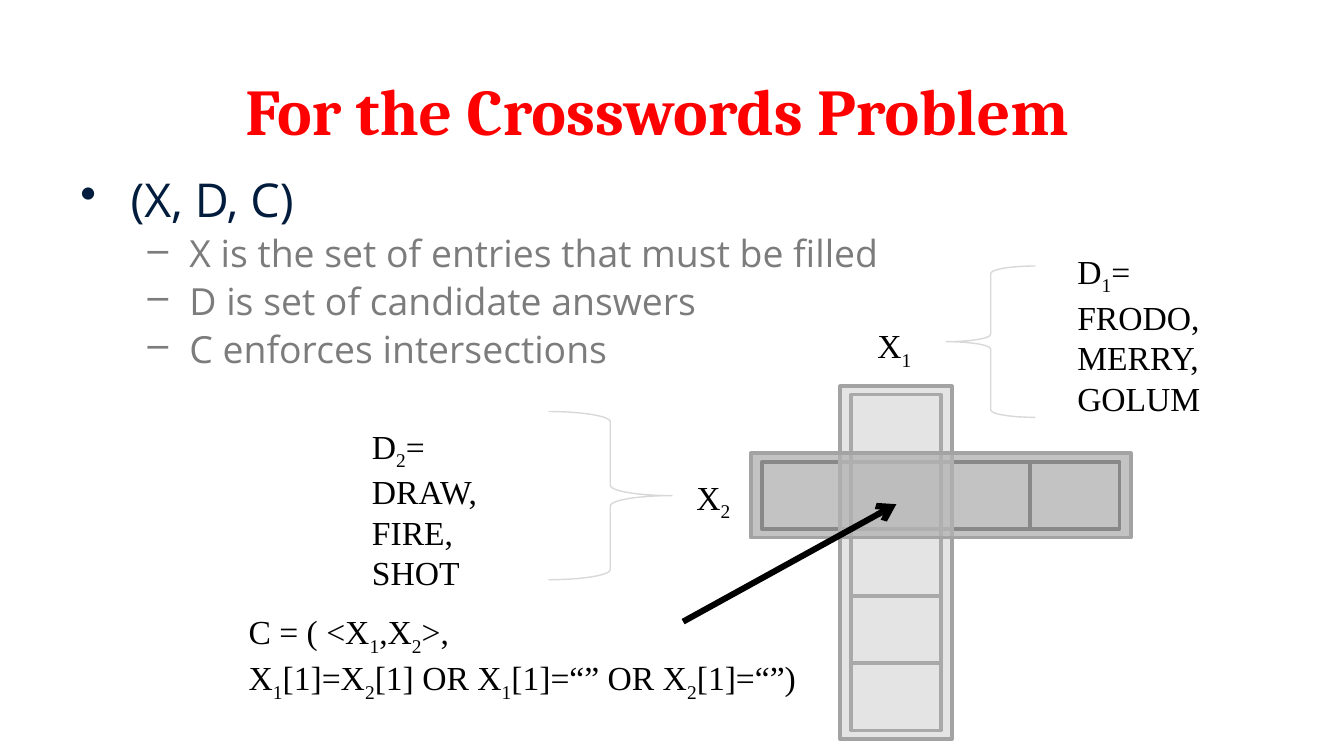
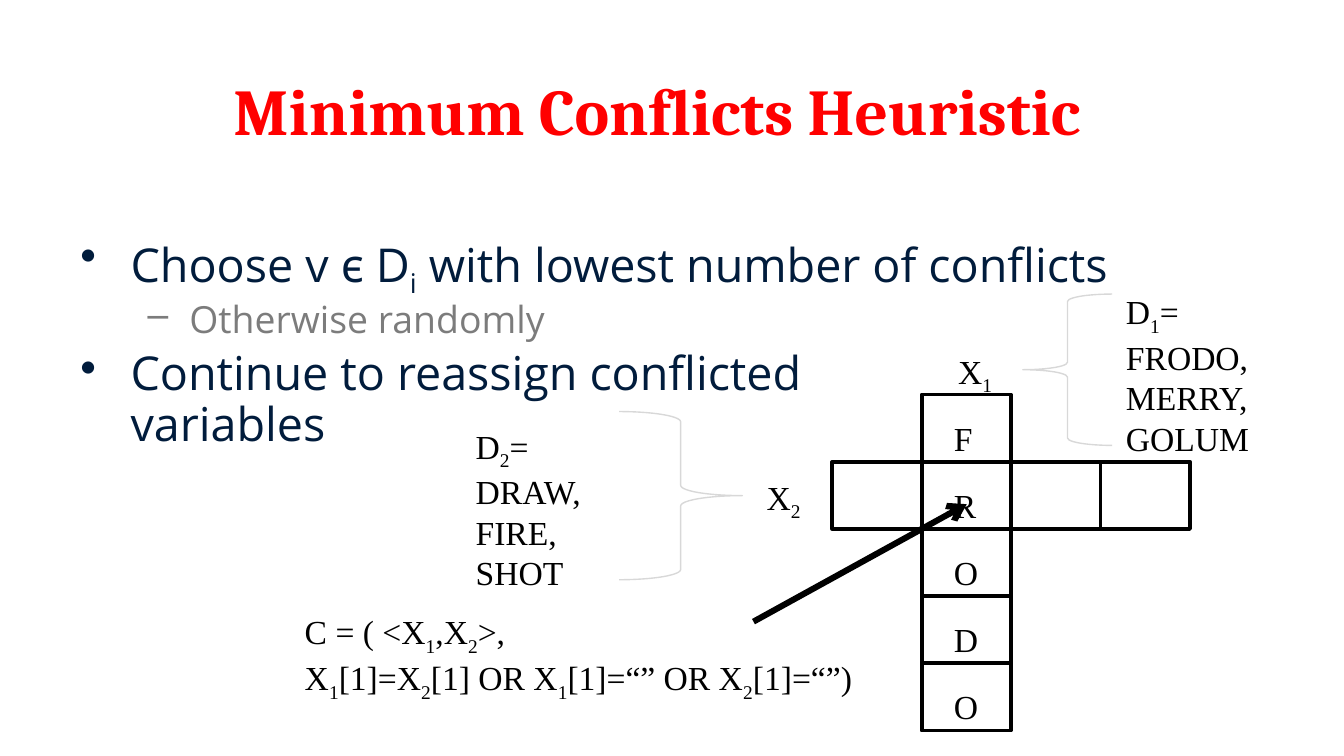
from lxml import etree
from pptx import Presentation
from pptx.dml.color import RGBColor
from pptx.enum.shapes import MSO_CONNECTOR, MSO_SHAPE
from pptx.enum.text import MSO_ANCHOR, MSO_AUTO_SIZE, PP_ALIGN
from pptx.oxml.ns import qn
from pptx.util import Cm, Pt

RECT = MSO_SHAPE.RECTANGLE
LEFT_BRACE = MSO_SHAPE.LEFT_BRACE
RIGHT_BRACE = MSO_SHAPE.RIGHT_BRACE
STRAIGHT = MSO_CONNECTOR.STRAIGHT
MIDDLE = MSO_ANCHOR.MIDDLE
GROW = MSO_AUTO_SIZE.SHAPE_TO_FIT_TEXT
CENTER = PP_ALIGN.CENTER

RED = RGBColor(0xFF, 0x00, 0x00)
NAVY = RGBColor(0x01, 0x1C, 0x3C)
GREY = RGBColor(0x7C, 0x7C, 0x7C)
BLACK = RGBColor(0x00, 0x00, 0x00)
WHITE = RGBColor(0xFF, 0xFF, 0xFF)
BRACE_GREY = RGBColor(0xD8, 0xD8, 0xD8)
BORDER_GREY = RGBColor(0xA3, 0xA3, 0xA3)
COLUMN_GREY = RGBColor(0xDD, 0xDD, 0xDD)
ROW_GREY = RGBColor(0xB2, 0xB2, 0xB2)

TITLE_FONT, BODY_FONT, LABEL_FONT = "Cambria", "Open Sans", "Times New Roman"

# Per outline level: bullet, size, colour, left margin and hanging indent in cm
LEVELS = [("•", 25, NAVY, 0.95, 0.95), ("–", 20, GREY, 2.06, 0.79)]

# Crossword grid, in cm
CELL_W, CELL_H = 1.69, 1.27
GRID_TOP = 7.46
COLUMN_CELLS, ROW_CELLS = 5, 4
ROW_TOP = GRID_TOP + CELL_H
FRAME_X, FRAME_Y = 0.21, 0.16

DOMAIN_1 = ["D_1=", "FRODO,", "MERRY,", "GOLUM"]
DOMAIN_2 = ["D_2=", "DRAW,", "FIRE,", "SHOT"]
CONSTRAINT = ["C = ( <X_1,X_2>,",
              "X_1[1]=X_2[1] OR X_1[1]=“” OR X_2[1]=“”)"]


def set_font(p, name, size, color, bold=False):
    p.font.name = name
    p.font.size = Pt(size)
    p.font.color.rgb = color
    p.font.bold = bold


def write_runs(p, text):
    """Write text in which the character after each underscore is a subscript."""
    first, *rest = text.split("_")
    p.add_run().text = first
    for part in rest:
        r = p.add_run()
        r.text = part[0]
        r._r.get_or_add_rPr().set("baseline", "-25000")
        if part[1:]:
            p.add_run().text = part[1:]


def add_text_frame(slide, left, top, width, height):
    sp = slide.shapes.add_textbox(Cm(left), Cm(top), Cm(width), Cm(height))
    sp.text_frame.word_wrap = True
    return sp.text_frame


def add_paragraphs(tf, lines):
    """Yield each line with its paragraph, starting with the existing one."""
    for i, line in enumerate(lines):
        yield line, tf.paragraphs[0] if i == 0 else tf.add_paragraph()


def add_title(slide, text):
    tf = add_text_frame(slide, 0.71, 1.09, 23.42, 1.96)
    tf.vertical_anchor = MIDDLE
    p = tf.paragraphs[0]
    p.text = text
    p.alignment = CENTER
    set_font(p, TITLE_FONT, 35, RED, bold=True)


def add_outline(slide, top, items):
    """Add the bulleted body; items are (level, text) pairs."""
    tf = add_text_frame(slide, 1.27, top, 22.86, 7.52)
    for (level, text), p in add_paragraphs(tf, items):
        bullet, size, color, margin, hanging = LEVELS[level]
        first, *more = text.split("\n")
        write_runs(p, first)
        for line in more:
            p.add_line_break()
            write_runs(p, line)
        p.level = level
        p.line_spacing = 0.9
        p.space_before = Pt(size * 0.2)
        set_font(p, BODY_FONT, size, color)
        pPr = p._p.get_or_add_pPr()
        pPr.set("marL", str(Cm(margin)))
        pPr.set("indent", str(-Cm(hanging)))
        bu = etree.Element(qn("a:buChar"), char=bullet)
        pPr.find(qn("a:defRPr")).addprevious(bu)


def add_label(slide, left, top, width, height, lines, wrap=True):
    tf = add_text_frame(slide, left, top, width, height)
    tf.word_wrap = wrap
    tf.auto_size = GROW
    for line, p in add_paragraphs(tf, lines):
        write_runs(p, line)
        set_font(p, LABEL_FONT, 18, BLACK)


def add_variable(slide, left, top, name):
    add_label(slide, left, top, 1.19, 1.02, [name], wrap=False)


def add_box(slide, left, top, width, height, fill, line, opacity=100):
    sp = slide.shapes.add_shape(RECT, Cm(left), Cm(top), Cm(width), Cm(height))
    sp.shadow.inherit = False
    sp.fill.solid()
    sp.fill.fore_color.rgb = fill
    sp.line.color.rgb = line
    sp.line.width = Pt(2)
    if opacity < 100:
        clr = sp._element.spPr.find(qn("a:solidFill"))[0]
        etree.SubElement(clr, qn("a:alpha"), val=str(opacity * 1000))


def add_brace(slide, kind, left, top, width, height):
    sp = slide.shapes.add_shape(kind, Cm(left), Cm(top), Cm(width), Cm(height))
    sp.shadow.inherit = False
    sp.fill.background()
    sp.line.color.rgb = BRACE_GREY
    sp.line.width = Pt(0.75)


def add_arrow(slide, x1, y1, x2, y2):
    cxn = slide.shapes.add_connector(STRAIGHT, Cm(x1), Cm(y1), Cm(x2), Cm(y2))
    cxn.line.color.rgb = BLACK
    cxn.line.width = Pt(3.25)
    etree.SubElement(cxn.line._get_or_add_ln(), qn("a:tailEnd"), type="arrow")
    etree.SubElement(cxn._element.spPr, qn("a:effectLst"))


def add_grid(slide, left):
    """Draw the crossing entries; left is the left edge of the down entry."""
    cells = [(0, i) for i in range(COLUMN_CELLS)]
    cells += [(i, 1) for i in range(-1, ROW_CELLS - 1) if i != 0]
    for col, row in cells:
        add_box(slide, left + col * CELL_W, GRID_TOP + row * CELL_H,
                CELL_W, CELL_H, WHITE, BLACK)


def add_entry_frames(slide, left):
    """Shade the down and across entries of the grid."""
    for x, y, cols, rows, fill in (
            (left, GRID_TOP, 1, COLUMN_CELLS, COLUMN_GREY),
            (left - CELL_W, ROW_TOP, ROW_CELLS, 1, ROW_GREY)):
        add_box(slide, x - FRAME_X, y - FRAME_Y,
                cols * CELL_W + 2 * FRAME_X, rows * CELL_H + 2 * FRAME_Y,
                fill, BORDER_GREY, opacity=77)


def add_across_notes(slide, left):
    """Add the across variable, its brace and the arrow to the crossing."""
    add_variable(slide, left - 3.18, 8.89, "X_2")
    add_arrow(slide, left - 3.18, 11.75, left + 0.85, 9.53)
    add_brace(slide, RIGHT_BRACE, left - 5.72, 7.78, 2.33, 3.18)


def add_letters(slide, left, word):
    for i, letter in enumerate(word):
        add_label(slide, left, 7.77 + i * CELL_H, 0.96, 1.02, [letter],
                  wrap=False)


def build_problem(prs):
    slide = prs.slides.add_slide(prs.slide_layouts[6])
    left = 16.09
    add_title(slide, "For the Crosswords Problem")
    add_outline(slide, 3.23, [
        (0, "(X, D, C)"),
        (1, "X is the set of entries that must be filled"),
        (1, "D is set of candidate answers"),
        (1, "C enforces intersections"),
    ])
    add_grid(slide, left)
    add_entry_frames(slide, left)
    add_variable(slide, 16.33, 6.02, "X_1")
    add_across_notes(slide, left)
    add_brace(slide, LEFT_BRACE, 17.88, 5.03, 1.69, 2.86)
    add_label(slide, 6.78, 7.92, 3.15, 4.11, DOMAIN_2)
    add_label(slide, 20.11, 4.62, 3.38, 4.11, DOMAIN_1)
    add_label(slide, 4.45, 11.43, 10.95, 2.57, CONSTRAINT)


def build_heuristic(prs):
    slide = prs.slides.add_slide(prs.slide_layouts[6])
    left = 17.42
    add_title(slide, "Minimum Conflicts Heuristic")
    add_outline(slide, 4.34, [
        (0, "Choose v ϵ D_i with lowest number of conflicts"),
        (1, "Otherwise randomly"),
        (0, "Continue to reassign conflicted\nvariables"),
    ])
    add_grid(slide, left)
    add_variable(slide, 17.86, 6.5, "X_1")
    add_label(slide, 5.51, 11.43, 10.95, 2.57, CONSTRAINT)
    add_across_notes(slide, left)
    add_brace(slide, LEFT_BRACE, 19.33, 5.56, 1.69, 2.86)
    add_label(slide, 8.74, 7.92, 2.97, 4.11, DOMAIN_2)
    add_label(slide, 21.03, 5.38, 3.33, 4.11, DOMAIN_1)
    add_letters(slide, 17.78, "FRODO")


def main():
    prs = Presentation()
    prs.slide_width, prs.slide_height = Cm(25.4), Cm(14.29)
    build_problem(prs)
    build_heuristic(prs)
    prs.save("out.pptx")


if __name__ == "__main__":
    main()
